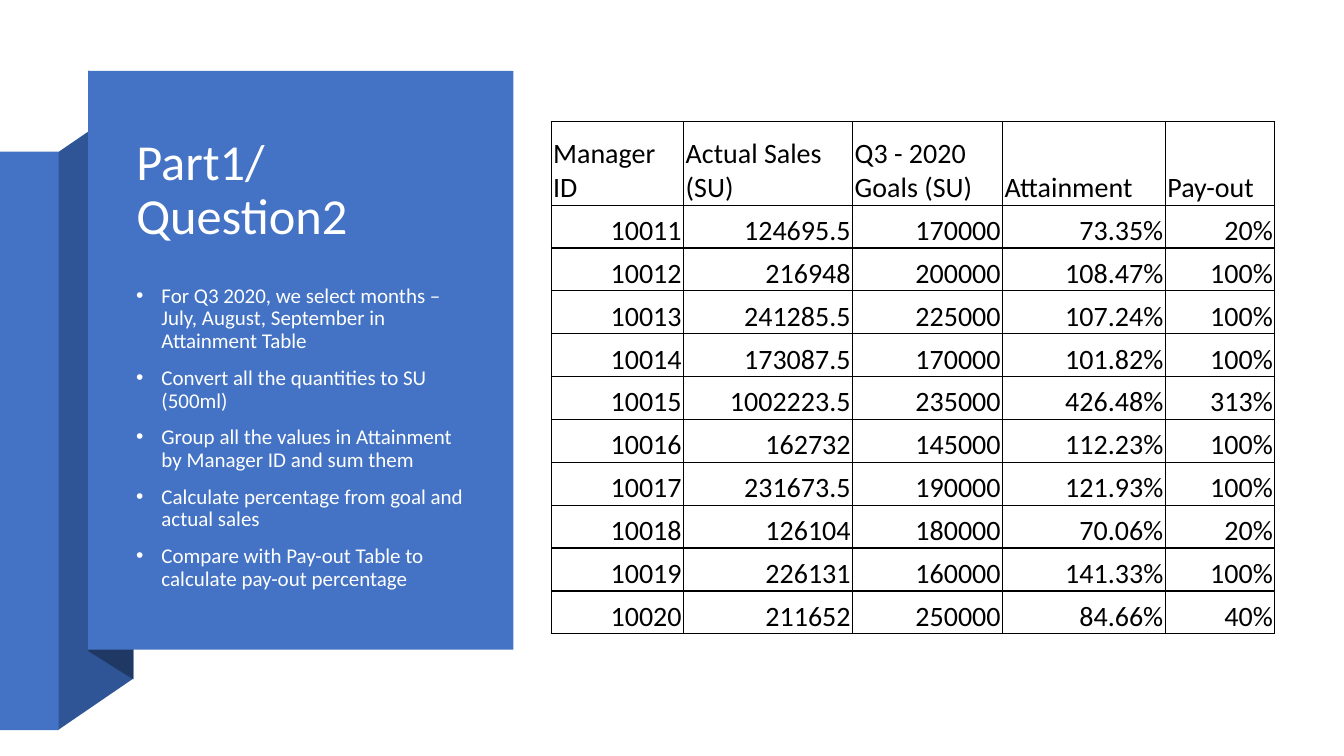
from lxml.etree import SubElement
from pptx import Presentation
from pptx.dml.color import RGBColor
from pptx.enum.shapes import MSO_SHAPE as Preset
from pptx.enum.text import MSO_ANCHOR as Anchor, MSO_AUTO_SIZE as AutoSize, PP_ALIGN as Align
from pptx.oxml.ns import qn
from pptx.util import Cm, Pt

FONT = "Calibri"
BLUE = RGBColor(0x44, 0x72, 0xC4)
FOLD_BLUE = RGBColor(0x2F, 0x55, 0x97)
SHADE_BLUE = RGBColor(0x20, 0x38, 0x64)
WHITE = RGBColor(0xFF, 0xFF, 0xFF)
OFF_WHITE = RGBColor(0xFE, 0xFF, 0xFF)
BLACK = RGBColor(0x00, 0x00, 0x00)

STEPS = [
    "For Q3 2020, we select months – July, August, September in Attainment Table",
    "Convert all the quantities to SU (500ml)",
    "Group all the values in Attainment by Manager ID and sum them",
    "Calculate percentage from goal and actual sales",
    "Compare with Pay-out Table to calculate pay-out percentage",
]
PAYOUTS = [
    ("Manager ID", "Actual Sales (SU)", "Q3 - 2020 Goals (SU)", "Attainment", "Pay-out"),
    ("10011", "124695.5", "170000", "73.35%", "20%"),
    ("10012", "216948", "200000", "108.47%", "100%"),
    ("10013", "241285.5", "225000", "107.24%", "100%"),
    ("10014", "173087.5", "170000", "101.82%", "100%"),
    ("10015", "1002223.5", "235000", "426.48%", "313%"),
    ("10016", "162732", "145000", "112.23%", "100%"),
    ("10017", "231673.5", "190000", "121.93%", "100%"),
    ("10018", "126104", "180000", "70.06%", "20%"),
    ("10019", "226131", "160000", "141.33%", "100%"),
    ("10020", "211652", "250000", "84.66%", "40%"),
]
COLUMN_WIDTHS = [3.34, 4.26, 3.78, 4.1, 2.76]
HEADER_HEIGHT, ROW_HEIGHT = 2.1, 1.08


def paint(shape, color):
    shape.shadow.inherit = False
    shape.fill.solid()
    shape.fill.fore_color.rgb = color
    shape.line.fill.background()


def add_block(slide, left, top, width, height, color):
    block = slide.shapes.add_shape(Preset.RECTANGLE, Cm(left), Cm(top), Cm(width), Cm(height))
    paint(block, color)


def add_fold(slide, corners, color):
    start, *others = [(Cm(x), Cm(y)) for x, y in corners]
    builder = slide.shapes.build_freeform(*start)
    builder.add_line_segments(others, close=True)
    paint(builder.convert_to_shape(), color)


def add_run(paragraph, text, size, color):
    run = paragraph.add_run()
    run.text = text
    run.font.name = FONT
    run.font.size = Pt(size)
    run.font.color.rgb = color


def set_title(slide, text):
    title = slide.shapes.title
    title.left, title.top, title.width, title.height = Cm(3.18), Cm(2.77), Cm(8.84), Cm(4.09)
    frame = title.text_frame
    frame.word_wrap = True
    frame.auto_size = AutoSize.NONE
    frame.vertical_anchor = Anchor.MIDDLE
    paragraph = frame.paragraphs[0]
    paragraph.alignment = Align.LEFT
    paragraph.line_spacing = 0.9
    add_run(paragraph, text, 36, WHITE)
    # Bring the title in front of the panel
    title.element.getparent().append(title.element)


def add_bullets(slide, steps):
    box = slide.shapes.add_textbox(Cm(3.18), Cm(7.06), Cm(8.89), Cm(8.31))
    frame = box.text_frame
    frame.word_wrap = True
    for index, step in enumerate(steps):
        paragraph = frame.add_paragraph() if index else frame.paragraphs[0]
        paragraph.line_spacing = 0.9
        paragraph.space_before = Pt(10)
        add_run(paragraph, step, 15, OFF_WHITE)
        properties = paragraph._p.get_or_add_pPr()
        properties.set("marL", str(Cm(0.64)))
        properties.set("indent", str(-Cm(0.64)))
        SubElement(properties, qn("a:buFont"), typeface="Arial")
        SubElement(properties, qn("a:buChar"), char="•")


def add_borders(cell):
    properties = cell._tc.get_or_add_tcPr()
    for position, side in enumerate(("lnL", "lnR", "lnT", "lnB")):
        border = SubElement(properties, qn(f"a:{side}"), w=str(Pt(1)))
        fill = SubElement(border, qn("a:solidFill"))
        SubElement(fill, qn("a:srgbClr"), val=str(BLACK))
        properties.insert(position, border)


def fill_cell(cell, text, alignment):
    cell.fill.background()
    cell.margin_left = cell.margin_right = cell.margin_top = Cm(0.05)
    cell.margin_bottom = 0
    cell.vertical_anchor = Anchor.BOTTOM
    paragraph = cell.text_frame.paragraphs[0]
    paragraph.alignment = alignment
    add_run(paragraph, text, 20, BLACK)
    add_borders(cell)


def add_payout_table(slide, records):
    heights = [HEADER_HEIGHT] + [ROW_HEIGHT] * (len(records) - 1)
    frame = slide.shapes.add_table(
        len(records), len(COLUMN_WIDTHS), Cm(13.89), Cm(3.07),
        Cm(sum(COLUMN_WIDTHS)), Cm(sum(heights)))
    table = frame.table
    table.first_row = table.horz_banding = False
    for column, width in zip(table.columns, COLUMN_WIDTHS):
        column.width = Cm(width)
    for index, (row, height, record) in enumerate(zip(table.rows, heights, records)):
        row.height = Cm(height)
        for cell, text in zip(row.cells, record):
            fill_cell(cell, text, Align.RIGHT if index else Align.LEFT)


def main():
    deck = Presentation()
    deck.slide_width, deck.slide_height = Cm(33.87), Cm(19.05)
    slide = deck.slides.add_slide(deck.slide_layouts[5])

    # Folded ribbon behind the panel
    add_fold(slide, [(1.46, 18.4), (3.36, 17.1), (3.36, 2.54), (1.46, 3.84)], FOLD_BLUE)
    add_block(slide, 0, 3.82, 1.48, 14.58, BLUE)
    add_fold(slide, [(2.23, 16.41), (3.36, 17.12), (3.36, 2.51), (2.23, 1.78)], SHADE_BLUE)

    # Panel with title and steps
    add_block(slide, 2.22, 1.79, 10.72, 14.58, BLUE)
    set_title(slide, "Part1/ Question2")
    add_bullets(slide, STEPS)

    # Pay-out by manager
    add_payout_table(slide, PAYOUTS)

    deck.save("out.pptx")


if __name__ == "__main__":
    main()
